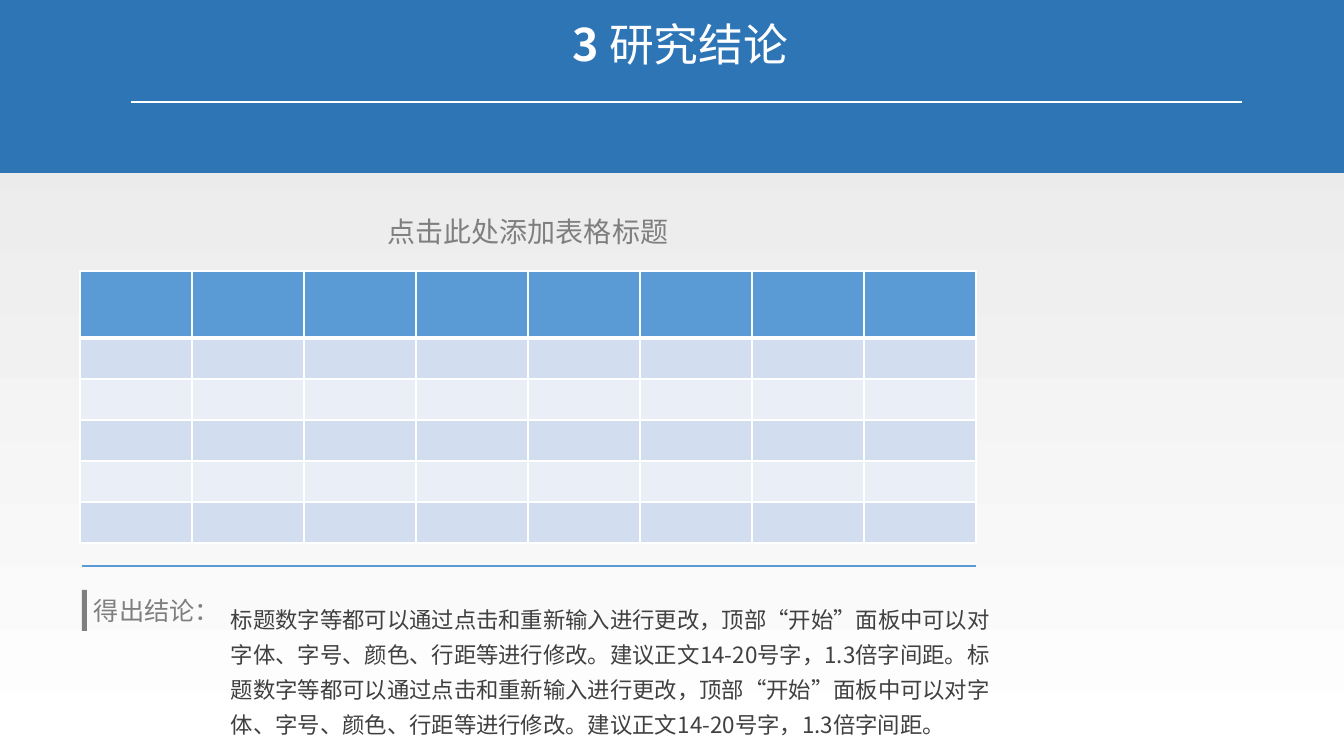
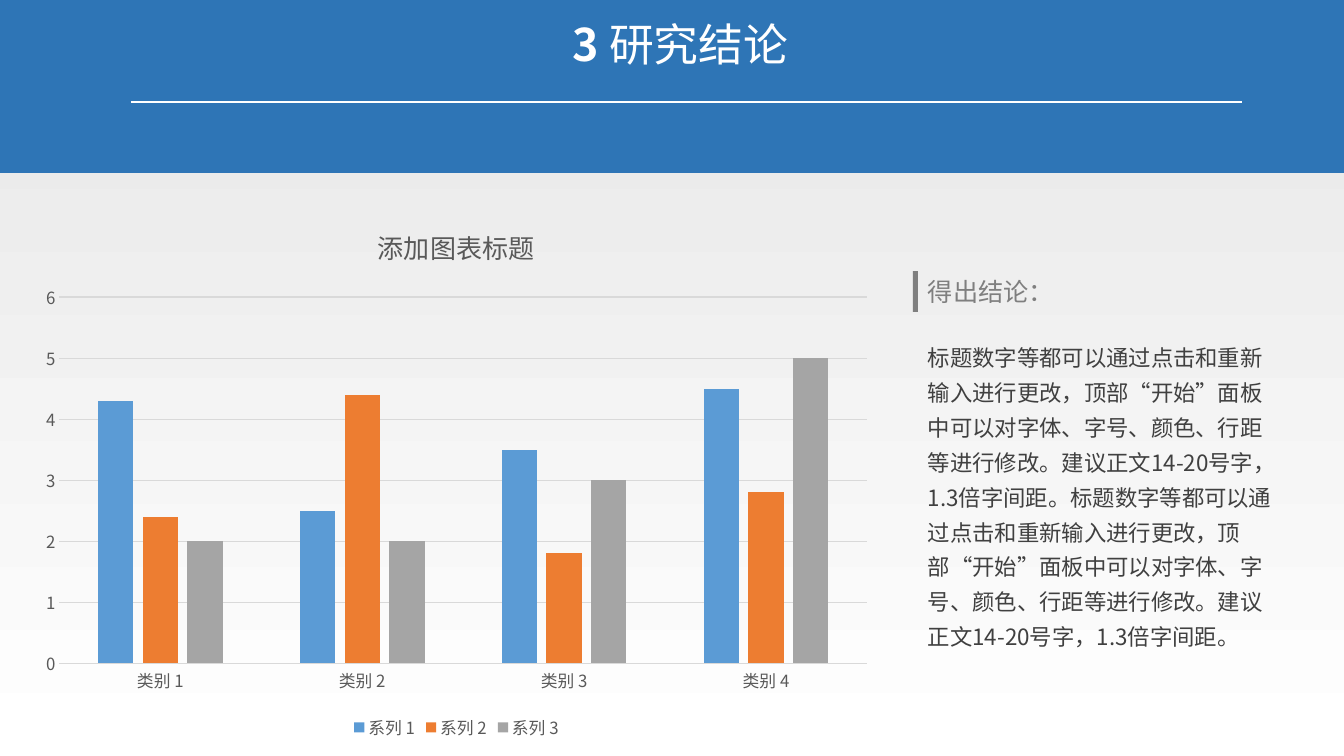
"""Build two research conclusion slides: one with a table, one with a column chart."""
from lxml import etree
from pptx import Presentation
from pptx.chart.data import CategoryChartData
from pptx.dml.color import RGBColor
from pptx.enum.chart import XL_CHART_TYPE, XL_LEGEND_POSITION, XL_TICK_MARK
from pptx.enum.shapes import MSO_CONNECTOR, MSO_SHAPE
from pptx.enum.text import MSO_ANCHOR, MSO_AUTO_SIZE, PP_ALIGN
from pptx.oxml.ns import qn
from pptx.util import Emu, Pt

COLUMNS = XL_CHART_TYPE.COLUMN_CLUSTERED
LEGEND_BOTTOM = XL_LEGEND_POSITION.BOTTOM
NO_TICKS = XL_TICK_MARK.NONE
STRAIGHT = MSO_CONNECTOR.STRAIGHT
RECTANGLE = MSO_SHAPE.RECTANGLE
TOP = MSO_ANCHOR.TOP
GROW = MSO_AUTO_SIZE.SHAPE_TO_FIT_TEXT
LEFT, CENTER = PP_ALIGN.LEFT, PP_ALIGN.CENTER

PX = 914400 / 100.8
FONT = "Noto Sans CJK SC"
COLORS = {name: RGBColor.from_string(value) for name, value in {
    "white": "FFFFFF", "page_top": "E6E6E6", "band": "2E75B6",
    "blue": "5B9BD5", "orange": "ED7D31", "silver": "A5A5A5",
    "row_dark": "D2DEEF", "row_light": "EAEFF7", "grid": "D9D9D9",
    "heading": "7F7F7F", "body": "404040", "chart_text": "595959",
}.items()}
ADVICE = ("标题数字等都可以通过点击和重新输入进行更改，顶部“开始”面板中可以对"
          "字体、字号、颜色、行距等进行修改。建议正文14-20号字，1.3倍字间距。") * 2


def format_font(font, size, color, bold=False):
    """Set size, colour and weight, and one typeface for all scripts."""
    font.size, font.bold, font.name = Pt(size), bold, FONT
    font.color.rgb = COLORS[color]
    latin = font._element.find(qn("a:latin")) if hasattr(font, "_element") else font._rPr.find(qn("a:latin"))
    east_asian = etree.Element(qn("a:ea"), typeface=FONT)
    latin.addnext(east_asian)


def place(shape, box):
    """Move and size a shape to a box given in px."""
    shape.left, shape.top, shape.width, shape.height = (Emu(round(length * PX)) for length in box)


presentation = Presentation()
presentation.slide_width, presentation.slide_height = Emu(12192000), Emu(6858000)
page_fill = presentation.slide_master.background.fill
page_fill.gradient()
page_fill.gradient_angle = 270
for stop, color in zip(page_fill.gradient_stops, ("page_top", "white")):
    stop.color.rgb = COLORS[color]

title_only = presentation.slide_layouts[5]
table_slide, chart_slide = (presentation.slides.add_slide(title_only) for _ in range(2))

bars = [
    (table_slide, (0, 0, 1344, 173), "band"),
    (chart_slide, (0, 0, 1344, 173), "band"),
    (table_slide, (82, 590, 5, 41), "heading"),
    (chart_slide, (913, 271, 5, 41), "heading"),
]
for slide, box, color in bars:
    bar = slide.shapes.add_shape(RECTANGLE, 0, 0, 0, 0)
    place(bar, box)
    bar.shadow.inherit = False
    bar.fill.solid()
    bar.fill.fore_color.rgb = COLORS[color]
    bar.line.fill.background()

rules = [
    (table_slide, 131, 1242, 102, "white", 1),
    (chart_slide, 131, 1242, 102, "white", 1),
    (table_slide, 82, 976, 566, "blue", 1.5),
]
for slide, start, end, top, color, width in rules:
    ends = (Emu(round(length * PX)) for length in (start, top, end, top))
    rule = slide.shapes.add_connector(STRAIGHT, *ends)
    rule.line.color.rgb = COLORS[color]
    rule.line.width = Pt(width)
    etree.SubElement(rule._element.spPr, qn("a:effectLst"))

for slide in (table_slide, chart_slide):
    title = slide.shapes.title
    slide.shapes._spTree.append(title._element)
    place(title, (207, 12, 947, 65))
    title.text_frame.auto_size = GROW
    title.text_frame.vertical_anchor = TOP
    paragraph = title.text_frame.paragraphs[0]
    paragraph.alignment = CENTER
    for text, bold in (("3 ", True), ("研究结论", False)):
        run = paragraph.add_run()
        run.text = text
        format_font(run.font, 32, "white", bold)

texts = [
    (table_slide, (80, 210, 896, 44), "点击此处添加表格标题", 20, "heading", CENTER, 1, True),
    (table_slide, (84, 590, 147, 41), "得出结论：", 18, "heading", LEFT, 1, False),
    (table_slide, (221, 593, 783, 151), ADVICE, 16, "body", LEFT, 1.3, True),
    (chart_slide, (918, 271, 147, 41), "得出结论：", 18, "heading", LEFT, 1, False),
    (chart_slide, (918, 331, 377, 328), ADVICE, 16, "body", LEFT, 1.3, True),
]
for slide, box, text, size, color, alignment, spacing, wrap in texts:
    text_box = slide.shapes.add_textbox(0, 0, 0, 0)
    place(text_box, box)
    text_frame = text_box.text_frame
    text_frame.text = text
    text_frame.word_wrap = wrap
    text_frame.auto_size = GROW
    paragraph = text_frame.paragraphs[0]
    paragraph.alignment = alignment
    paragraph.line_spacing = float(spacing)
    format_font(paragraph.runs[0].font, size, color)

row_heights = [67] + [41] * 5
table_frame = table_slide.shapes.add_table(len(row_heights), 8, 0, 0, 0, 0)
place(table_frame, (80, 271, 896, sum(row_heights)))
table = table_frame.table
for column in table.columns:
    column.width = Emu(round(112 * PX))
for index, (row, height) in enumerate(zip(table.rows, row_heights)):
    row.height = Emu(round(height * PX))
    fill_color = "blue" if index == 0 else "row_dark" if index % 2 else "row_light"
    for cell in row.cells:
        properties = cell._tc.get_or_add_tcPr()
        for side in ("lnL", "lnR", "lnT", "lnB"):
            below_header = (index, side) in ((0, "lnB"), (1, "lnT"))
            border = etree.SubElement(properties, qn("a:" + side), w=str(Pt(3 if below_header else 1)))
            border_fill = etree.SubElement(border, qn("a:solidFill"))
            etree.SubElement(border_fill, qn("a:srgbClr"), val=str(COLORS["white"]))
        cell.fill.solid()
        cell.fill.fore_color.rgb = COLORS[fill_color]

series_rows = [
    ("系列 1", (4.3, 2.5, 3.5, 4.5), "blue"),
    ("系列 2", (2.4, 4.4, 1.8, 2.8), "orange"),
    ("系列 3", (2, 2, 3, 5), "silver"),
]
chart_data = CategoryChartData()
chart_data.categories = [f"类别 {number}" for number in range(1, 5)]
for name, values, _ in series_rows:
    chart_data.add_series(name, values)
chart_frame = chart_slide.shapes.add_chart(COLUMNS, 0, 0, 0, 0, chart_data)
place(chart_frame, (29, 204, 855, 540))
chart = chart_frame.chart

chart.has_title = True
chart.chart_title.include_in_layout = False
chart.chart_title.text_frame.text = "添加图表标题"
format_font(chart.chart_title.text_frame.paragraphs[0].runs[0].font, 18.6, "chart_text")
chart.has_legend = True
chart.legend.position = LEGEND_BOTTOM
chart.legend.include_in_layout = False

category_axis, value_axis = chart.category_axis, chart.value_axis
for part in (category_axis.tick_labels, value_axis.tick_labels, chart.legend):
    format_font(part.font, 12, "chart_text")
for axis in (category_axis, value_axis):
    axis.major_tick_mark = axis.minor_tick_mark = NO_TICKS
value_axis.minimum_scale, value_axis.maximum_scale, value_axis.major_unit = 0, 6, 1
value_axis.format.line.fill.background()
for line in (category_axis.format.line, value_axis.major_gridlines.format.line):
    line.color.rgb = COLORS["grid"]
    line.width = Pt(0.75)

plot = chart.plots[0]
plot.gap_width, plot.overlap, plot.vary_by_categories = 219, -27, False
for series, (_, _, color) in zip(plot.series, series_rows):
    series.format.fill.solid()
    series.format.fill.fore_color.rgb = COLORS[color]

presentation.save("out.pptx")
